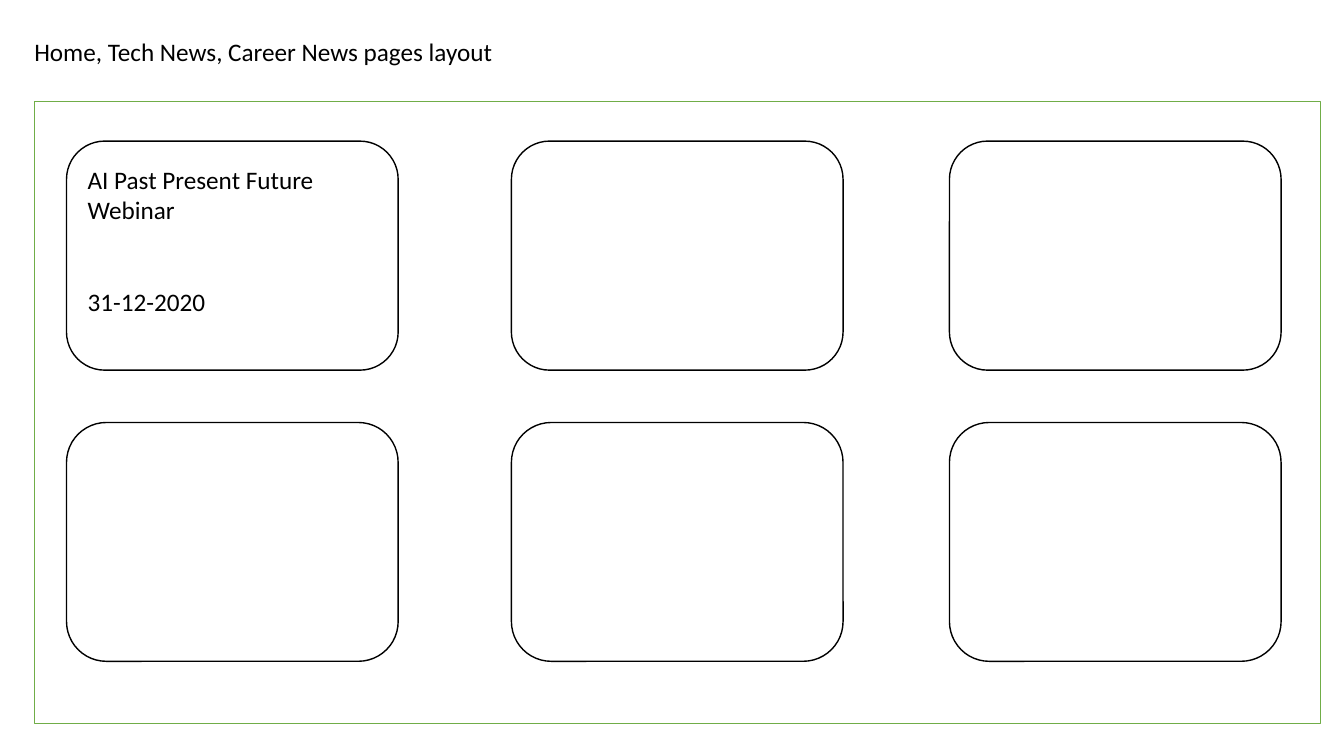
import dataclasses
import pptx
import pptx.util
import pptx.dml.color
import pptx.enum.shapes
import pptx.enum.text

Pt = pptx.util.Pt
Rgb = pptx.dml.color.RGBColor
Kind = pptx.enum.shapes.MSO_SHAPE
Align = pptx.enum.text.PP_ALIGN
Anchor = pptx.enum.text.MSO_ANCHOR
Fit = pptx.enum.text.MSO_AUTO_SIZE


@dataclasses.dataclass(frozen=True)
class Theme:
    font: str = "Calibri"
    size: float = 18
    row: float = 22  # height of one text line
    ink: Rgb = Rgb(0, 0, 0)
    paper: Rgb = Rgb(255, 255, 255)
    green: Rgb = Rgb(0x70, 0xAD, 0x47)
    line: float = 1


class Page:
    def __init__(self, deck, theme):
        self.theme = theme
        self.slide = deck.slides.add_slide(deck.slide_layouts[5])

    def style(self, frame):
        for para in frame.paragraphs:
            para.alignment = Align.LEFT
            for run in para.runs:
                run.font.name = self.theme.font
                run.font.size = Pt(self.theme.size)
                run.font.color.rgb = self.theme.ink

    def title(self, text, left, top, width, height):
        head = self.slide.shapes.title
        head.left, head.top = Pt(left), Pt(top)
        head.width, head.height = Pt(width), Pt(height)
        frame = head.text_frame
        frame.text = text
        frame.word_wrap = True
        frame.auto_size = Fit.NONE
        frame.vertical_anchor = Anchor.TOP
        self.style(frame)

    def box(self, kind, left, top, width, height, color):
        shape = self.slide.shapes.add_shape(
            kind, Pt(left), Pt(top), Pt(width), Pt(height))
        shape.shadow.inherit = False
        shape.fill.solid()
        shape.fill.fore_color.rgb = self.theme.paper
        shape.line.color.rgb = color
        shape.line.width = Pt(self.theme.line)
        return shape

    def label(self, card, name, date):
        """Put a name and, two lines below it, a date on a card."""
        frame = card.text_frame
        frame.text = f"{name}\n{date}"
        frame.word_wrap = True
        frame.vertical_anchor = Anchor.MIDDLE
        frame.margin_bottom = Pt(3.6 + self.theme.row)
        frame.paragraphs[1].space_before = Pt(2 * self.theme.row)
        self.style(frame)


def main():
    deck = pptx.Presentation()
    deck.slide_width, deck.slide_height = Pt(960), Pt(540)
    theme = Theme()
    page = Page(deck, theme)

    page.title("Home, Tech News, Career News pages layout",
               17.3, 22.3, 762.5, 29)
    page.box(Kind.RECTANGLE, 24.5, 72.7, 918.7, 444.2, theme.green)

    cols = (47.5, 365.3, 678.2)
    rows = ((100.8, 163.6), (301.8, 170.6))
    cards = [page.box(Kind.ROUNDED_RECTANGLE, left, top, 236.9, height,
                      theme.ink)
             for top, height in rows for left in cols]
    page.label(cards[0], "AI Past Present Future Webinar", "31-12-2020")

    deck.save("out.pptx")


if __name__ == "__main__":
    main()
